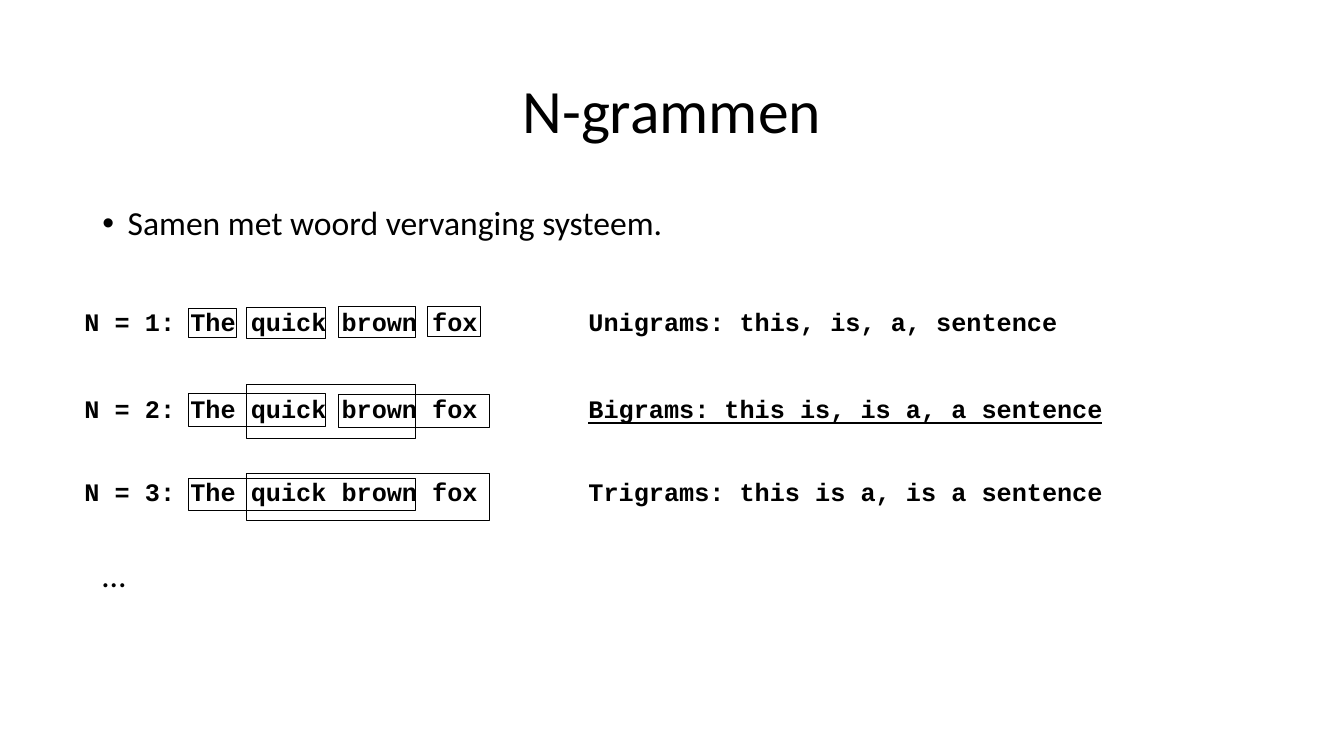
"""Build the slide that explains n-grams with framed word groups."""
from dataclasses import dataclass

from lxml import etree
from pptx import Presentation
from pptx.dml.color import RGBColor
from pptx.enum.shapes import MSO_SHAPE
from pptx.enum.text import MSO_ANCHOR, PP_ALIGN
from pptx.oxml.ns import qn
from pptx.util import Cm, Pt

RECTANGLE = MSO_SHAPE.RECTANGLE
MIDDLE, TOP = MSO_ANCHOR.MIDDLE, MSO_ANCHOR.TOP
CENTER, LEFT = PP_ALIGN.CENTER, PP_ALIGN.LEFT


@dataclass(frozen=True)
class Theme:
    ink: RGBColor = RGBColor(0, 0, 0)
    heading: Pt = Pt(44)
    body: Pt = Pt(24)
    code: Pt = Pt(18)
    frame: Pt = Pt(0.75)
    sans: str = "Calibri"
    mono: str = "Courier New"


theme = Theme()


def add_text(box, anchor, align, spacing, runs):
    """Add a one-paragraph text box from (text, font values) runs."""
    frame = slide.shapes.add_textbox(*map(Cm, box)).text_frame
    frame.word_wrap = True
    frame.vertical_anchor = anchor
    paragraph = frame.paragraphs[0]
    paragraph.alignment = align
    paragraph.line_spacing = spacing
    for text, values in runs:
        run = paragraph.add_run()
        run.text = text
        run.font.color.rgb = theme.ink
        for name, value in values.items():
            setattr(run.font, name, value)
    return paragraph


presentation = Presentation()
presentation.slide_width, presentation.slide_height = Cm(33.87), Cm(19.05)
slide = presentation.slides.add_slide(presentation.slide_layouts[6])

heading_font = {"name": theme.sans, "size": theme.heading}
body_font = {"name": theme.sans, "size": theme.body}
code_font = {"name": theme.mono, "size": theme.code, "bold": True}

add_text((2.33, 1.02, 29.21, 3.68), MIDDLE, CENTER, 0.9, [("N-grammen", heading_font)])

statement = add_text((2.33, 5.08, 29.21, 1.4), TOP, LEFT, 0.9,
                     [("Samen met woord vervanging systeem.", body_font)])
indent = statement._p.get_or_add_pPr()
indent.set("marL", str(Cm(0.64)))
indent.set("indent", str(-Cm(0.64)))
etree.SubElement(indent, qn("a:buFont"), typeface="Arial")
etree.SubElement(indent, qn("a:buChar"), char="•")

add_text((2.33, 13.95, 29.21, 1.4), TOP, LEFT, 0.9, [("…", body_font)])

sentence = "The quick brown fox"
word_left = {"The": 4.75, "quick": 6.22, "brown": 8.52, "fox": 10.77}
word_right = {"The": 5.97, "quick": 8.2, "brown": 10.48, "fox": 12.12}
group_right = {**word_right, "fox": 12.34}

ngrams = [
    (7.67, "Unigrams: this, is, a, sentence", False, word_right,
     [("The", "The", 7.77, 0.74), ("quick", "quick", 7.75, 0.79),
      ("brown", "brown", 7.72, 0.79), ("fox", "fox", 7.72, 0.76)]),
    (9.86, "Bigrams: this is, is a, a sentence", True, group_right,
     [("The", "quick", 9.91, 0.84), ("brown", "fox", 9.93, 0.84),
      ("quick", "brown", 9.7, 1.35)]),
    (11.94, "Trigrams: this is a, is a sentence", False, group_right,
     [("The", "brown", 12.06, 0.81), ("quick", "fox", 11.94, 1.17)]),
]

for n, (row_top, example, underlined, right_edge, groups) in enumerate(ngrams, start=1):
    row = add_text((1.88, row_top, 26.75, 1.68), TOP, LEFT, 0.93,
                   [(f"N = {n}: {sentence}\t\t", code_font),
                    (example, {**code_font, "underline": underlined})])
    tab_stops = etree.SubElement(row._p.get_or_add_pPr(), qn("a:tabLst"))
    for stop in (10.16, 12.7):
        etree.SubElement(tab_stops, qn("a:tab"), pos=str(Cm(stop)), algn="l")

    for first, last, top, height in groups:
        left = word_left[first]
        outline = slide.shapes.add_shape(
            RECTANGLE, Cm(left), Cm(top), Cm(right_edge[last] - left), Cm(height))
        outline.shadow.inherit = False
        outline.fill.background()
        outline.line.color.rgb = theme.ink
        outline.line.width = theme.frame

presentation.save("out.pptx")
